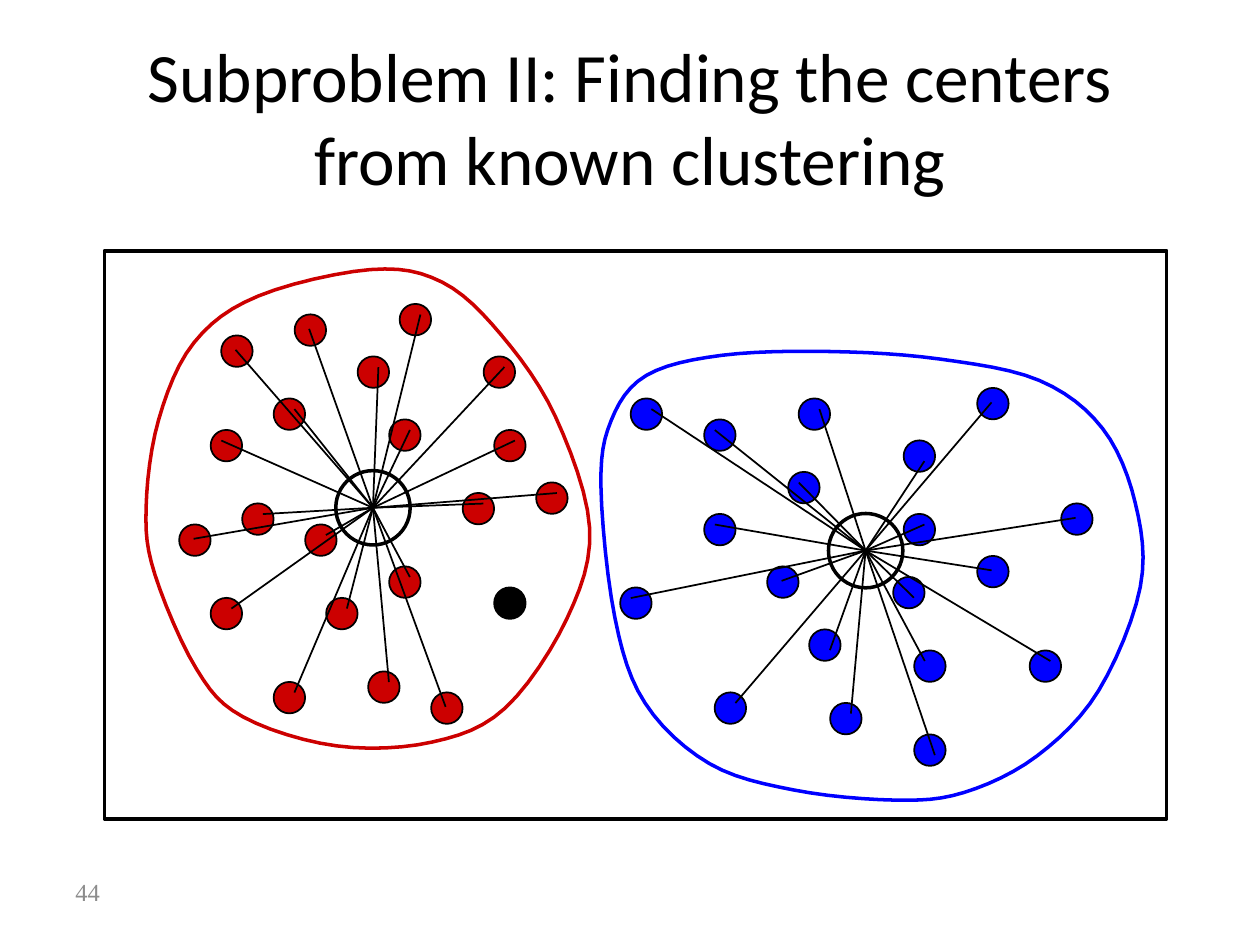
from dataclasses import dataclass

from lxml import etree
from pptx import Presentation
from pptx import util as u
from pptx.dml.color import RGBColor
from pptx.enum import shapes, text
from pptx.oxml.ns import qn

BLACK, RED, BLUE, GRAY = "000000", "CC0000", "0000FF", "8C8C8C"
THIN, THICK = 1, 2
GRID_STEP = 1 / 12
GRID_LEFT, GRID_TOP = 0.13, 0.12
DOT_SIZE, HUB_SIZE = 0.25, 0.59
CURVE_STEPS = 6

CENTRAL = (-0.01, -0.01)
UPPER_RIGHT = (0.04, -0.04)
UPPER_LEFT = (-0.04, -0.04)
LOWER_RIGHT = (0.04, 0.04)


@dataclass
class Cluster:
    color: str
    hub: tuple
    cells_by_touch: dict
    anchors: list


RED_CLUSTER = Cluster(
    color=RED,
    hub=(2.96, 4.03),
    cells_by_touch={
        UPPER_RIGHT: [
            (29, 50), (20, 57), (31, 57), (26, 65), (35, 64), (37, 54), (23, 48), (26, 38),
            (37, 40), (34, 34), (44, 47), (51, 46), (47, 41), (46, 34), (38, 29),
        ],
        CENTRAL: [(41, 66), (17, 50), (21, 32), (28, 30)],
        UPPER_LEFT: [(20, 41)],
    },
    anchors=[
        (1.16, 4.03), (1.26, 3.33), (1.54, 2.72), (2.05, 2.35), (2.94, 2.14), (3.51, 2.24),
        (3.98, 2.66), (4.41, 3.31), (4.68, 4.19), (4.5, 4.91), (4.01, 5.62), (3.43, 5.89),
        (2.67, 5.92), (1.93, 5.69), (1.56, 5.31), (1.23, 4.56),
    ],
)
BLUE_CLUSTER = Cluster(
    color=BLUE,
    hub=(6.87, 4.37),
    cells_by_touch={
        UPPER_RIGHT: [(86, 49), (76, 38), (60, 38), (68, 66), (79, 67), (98, 62)],
        CENTRAL: [(73, 54), (93, 53), (101, 48), (93, 37)],
        UPPER_LEFT: [(67, 49), (75, 45), (59, 56), (67, 40), (87, 62)],
        LOWER_RIGHT: [(77, 60), (86, 42), (85, 55), (87, 70)],
    },
    anchors=[
        (4.77, 3.87), (4.85, 3.34), (5.13, 2.98), (5.73, 2.82), (6.59, 2.79), (7.46, 2.85),
        (8.25, 3.02), (8.75, 3.4), (9.01, 3.99), (9.05, 4.66), (8.72, 5.48), (8.23, 6),
        (7.65, 6.29), (7.1, 6.35), (6.3, 6.27), (5.63, 6.06), (5.12, 5.58), (4.88, 4.9),
    ],
)
CLUSTERS = (RED_CLUSTER, BLUE_CLUSTER)
UNASSIGNED_CELL = (47, 56)


def rgb(value):
    return RGBColor.from_string(value)


def cell_center(cell):
    column, row = cell
    return GRID_LEFT + column * GRID_STEP, GRID_TOP + row * GRID_STEP


def spline(before, start, end, after, t):
    return 0.5 * (
        2 * start
        + (end - before) * t
        + (2 * before - 5 * start + 4 * end - after) * t ** 2
        + (3 * start - before - 3 * end + after) * t ** 3
    )


def closed_curve(anchors):
    count = len(anchors)
    points = []
    for index in range(count):
        neighbors = [anchors[(index + shift) % count] for shift in (-1, 0, 1, 2)]
        xs, ys = zip(*neighbors)
        for step in range(CURVE_STEPS):
            t = step / CURVE_STEPS
            points.append((spline(*xs, t), spline(*ys, t)))
    return points


def style_line(line, value, width):
    line.color.rgb = rgb(value)
    line.width = u.Pt(width)


def style_shape(shape, fill, line, width):
    shape.shadow.inherit = False
    if fill:
        shape.fill.solid()
        shape.fill.fore_color.rgb = rgb(fill)
    else:
        shape.fill.background()
    style_line(shape.line, line, width)


def add_label(page, bounds, words, font, size, value, align):
    box = page.shapes.add_textbox(*map(u.Inches, bounds))
    frame = box.text_frame
    frame.word_wrap = True
    frame.vertical_anchor = text.MSO_ANCHOR.MIDDLE
    para = frame.paragraphs[0]
    para.text = words
    para.alignment = align
    para.font.name = font
    para.font.size = u.Pt(size)
    para.font.color.rgb = rgb(value)


def add_frame(page, bounds):
    frame = page.shapes.add_shape(shapes.MSO_SHAPE.RECTANGLE, *map(u.Inches, bounds))
    style_shape(frame, None, BLACK, THICK)


def add_circle(page, center, size, fill, width):
    x, y = center
    bounds = (x - size / 2, y - size / 2, size, size)
    circle = page.shapes.add_shape(shapes.MSO_SHAPE.OVAL, *map(u.Inches, bounds))
    style_shape(circle, fill, BLACK, width)


def add_outline(page, anchors, value):
    start, *rest = [(u.Inches(x), u.Inches(y)) for x, y in closed_curve(anchors)]
    builder = page.shapes.build_freeform(*start)
    builder.add_line_segments(rest, close=True)
    style_shape(builder.convert_to_shape(), None, value, THICK)


def add_spoke(page, start, end):
    spoke = page.shapes.add_connector(
        shapes.MSO_CONNECTOR.STRAIGHT, *map(u.Inches, (*start, *end)))
    style_line(spoke.line, BLACK, THIN)
    etree.SubElement(spoke._element.spPr, qn("a:effectLst"))


def add_dots(page, cluster):
    for cells in cluster.cells_by_touch.values():
        for cell in cells:
            add_circle(page, cell_center(cell), DOT_SIZE, cluster.color, THIN)


def add_spokes(page, cluster):
    for (shift_x, shift_y), cells in cluster.cells_by_touch.items():
        for x, y in map(cell_center, cells):
            add_spoke(page, (x + shift_x, y + shift_y), cluster.hub)


def main():
    deck = Presentation()
    deck.slide_width, deck.slide_height = u.Inches(10), u.Inches(7.5)
    page = deck.slides.add_slide(deck.slide_layouts[6])
    add_label(page, (0.5, 6.83, 2.33, 0.5), "44", "Times New Roman", 14, GRAY,
              text.PP_ALIGN.LEFT)
    add_label(page, (0.5, 0.3, 9, 1.25),
              "Subproblem II: Finding the centers from known clustering",
              "Calibri", 39.6, BLACK, text.PP_ALIGN.CENTER)
    add_frame(page, (0.83, 1.99, 8.43, 4.51))
    for cluster in CLUSTERS:
        add_dots(page, cluster)
    for cluster in CLUSTERS:
        add_outline(page, cluster.anchors, cluster.color)
    add_circle(page, cell_center(UNASSIGNED_CELL), DOT_SIZE, BLACK, THIN)
    for cluster in CLUSTERS:
        add_circle(page, cluster.hub, HUB_SIZE, None, THICK)
    for cluster in CLUSTERS:
        add_spokes(page, cluster)
    deck.save("out.pptx")


if __name__ == "__main__":
    main()
